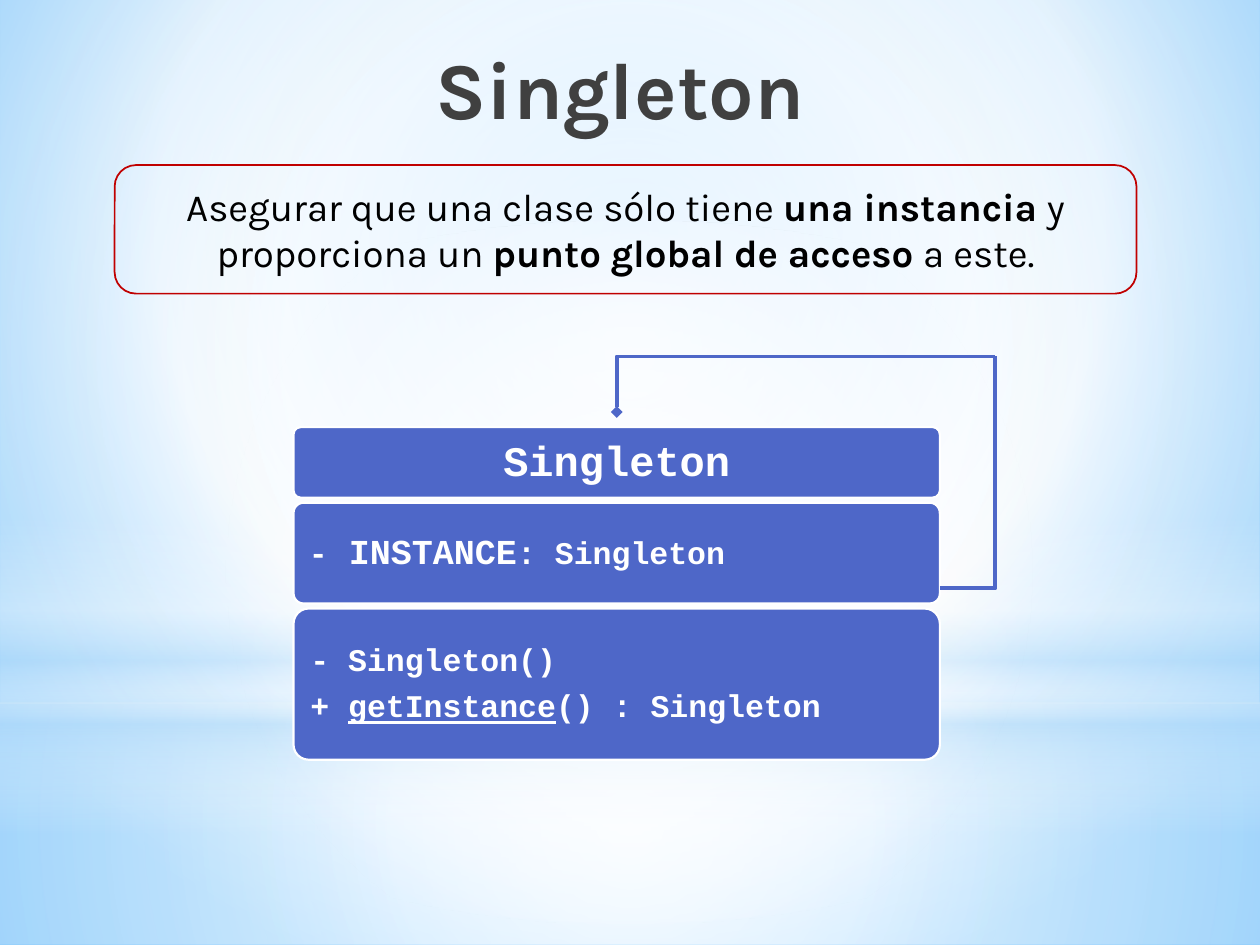
from pptx import Presentation
from pptx.dml.color import RGBColor
from pptx.enum.dml import MSO_FILL
from pptx.enum.shapes import MSO_CONNECTOR, MSO_SHAPE
from pptx.enum.text import MSO_ANCHOR, PP_ALIGN
from pptx.oxml import parse_xml
from pptx.oxml.ns import nsdecls, qn
from pptx.util import Inches, Pt

RECT, ROUND, OVAL = MSO_SHAPE.RECTANGLE, MSO_SHAPE.ROUNDED_RECTANGLE, MSO_SHAPE.OVAL
ELBOW = MSO_CONNECTOR.ELBOW
TOP, MIDDLE = MSO_ANCHOR.TOP, MSO_ANCHOR.MIDDLE
LEFT, CENTER = PP_ALIGN.LEFT, PP_ALIGN.CENTER

BLACK = RGBColor(0x00, 0x00, 0x00)
GRAY = RGBColor(0x40, 0x40, 0x40)
WHITE = RGBColor(0xFF, 0xFF, 0xFF)
RED = RGBColor(0xC0, 0x00, 0x00)
BLUE = RGBColor(0x4E, 0x67, 0xC8)
SKY = RGBColor(0x9E, 0xD5, 0xFF)
DEEP_SKY = RGBColor(0x5B, 0xB9, 0xFF)
PALE = RGBColor(0xB4, 0xDC, 0xFA)

W, H = Inches(10), Inches(7.5)
ROWS = 66


def share(left, top, width, height):
    return [round(v * side / 100) for v, side in zip((left, top, width, height), (W, H, W, H))]


def radial(left, top, right, bottom):
    return (f'<a:path path="circle"><a:fillToRect l="{left}000" t="{top}000" '
            f'r="{right}000" b="{bottom}000"/></a:path>')


CENTERED = radial(50, 50, 50, 50)
VERTICAL = '<a:lin ang="5400000" scaled="0"/>'


def set_gradient(fill, root, stops, direction):
    fill.solid()
    solid = root.find('.//' + qn('a:solidFill'))
    gs = ''.join(
        f'<a:gs pos="{pos}000"><a:srgbClr val="{color}"><a:alpha val="{alpha}000"/></a:srgbClr></a:gs>'
        for pos, color, alpha in stops)
    grad = parse_xml(f'<a:gradFill {nsdecls("a")} rotWithShape="1"><a:gsLst>{gs}</a:gsLst>{direction}</a:gradFill>')
    solid.getparent().replace(solid, grad)


def add_plain(slide, kind, box, fill=None, line=None, width=1):
    sp = slide.shapes.add_shape(kind, *box)
    sp.shadow.inherit = False
    for part, color in ((sp.fill, fill), (sp.line.fill, line)):
        if color is None:
            part.background()
        else:
            part.solid()
            part.fore_color.rgb = color
    if sp.line.fill.type == MSO_FILL.SOLID:
        sp.line.width = Pt(width)
    return sp


def write(sp, paragraphs, font, frame, para):
    tf = sp.text_frame
    for name, value in {'word_wrap': True, **frame}.items():
        setattr(tf, name, value)
    for i, runs in enumerate(paragraphs):
        p = tf.add_paragraph() if i else tf.paragraphs[0]
        for name, value in para.items():
            setattr(p, name, value)
        for text, changes in runs:
            r = p.add_run()
            r.text = text
            style = {**font, **changes}
            r.font.color.rgb = style.pop('color')
            for name, value in style.items():
                setattr(r.font, name, value)


def add_backdrop(slide):
    set_gradient(slide.background.fill, slide.element,
                 [(0, SKY, 100), (60, WHITE, 100), (100, DEEP_SKY, 100)], radial(20, 10, 20, 60))
    layers = [
        (RECT, (0, 74.4, 100, 25.6), [(0, WHITE, 91), (37, WHITE, 76), (100, PALE, 79)], CENTERED),
        (RECT, (0, 0, 100, 74.4), [(0, WHITE, 89), (48, WHITE, 62), (100, PALE, 79)], CENTERED),
        (RECT, (0, 54.93, 100, 33.33), [(0, WHITE, 0), (29, WHITE, 30), (45, PALE, 40),
                                        (55, WHITE, 26), (65, PALE, 60), (100, WHITE, 0)], VERTICAL),
        (OVAL, (0, 23.33, 100, 74.4), [(0, WHITE, 100), (56, WHITE, 0)], CENTERED),
    ]
    for kind, box, stops, direction in layers:
        sp = add_plain(slide, kind, share(*box))
        set_gradient(sp.fill, sp.element, stops, direction)


def add_title(slide, box):
    sp = slide.shapes.add_textbox(*box)
    font = {'name': 'Karla', 'size': Pt(46), 'bold': True, 'color': GRAY}
    write(sp, [[('Singleton', {})]], font, {'vertical_anchor': TOP}, {'alignment': CENTER})


def add_definition(slide, box):
    sp = add_plain(slide, ROUND, box, line=RED)
    bold = {'bold': True}
    runs = [('Asegurar que una clase sólo tiene ', {}), ('una instancia ', bold),
            ('y proporciona un ', {}), ('punto global de acceso ', bold), ('a este.', {})]
    font = {'name': 'Karla', 'size': Pt(22), 'bold': False, 'color': BLACK}
    write(sp, [runs], font, {'vertical_anchor': MIDDLE}, {'alignment': CENTER})


def add_class(slide, box):
    left, top, width, height = box
    row = height / ROWS
    sections = [
        (0, 14, CENTER, [[('Singleton', {'size': Pt(24)})]]),
        (15, 20, LEFT, [[('-', {}), (' INSTANCE', {'size': Pt(20)}), (': Singleton', {})]]),
        (36, 30, LEFT, [[('- Singleton()', {})],
                        [('+ ', {}), ('getInstance', {'underline': True}), ('() : Singleton', {})]]),
    ]
    font = {'name': 'Courier New', 'size': Pt(18), 'bold': True, 'color': WHITE}
    frame = {'vertical_anchor': MIDDLE, 'margin_left': Inches(0.1), 'margin_right': Inches(0.1)}
    for start, span, align, paragraphs in sections:
        sp = add_plain(slide, ROUND, (left, round(top + start * row), width, round(span * row)),
                       BLUE, WHITE, 1.25)
        sp.adjustments[0] = 0.1
        write(sp, paragraphs, font, frame,
              {'alignment': align, 'line_spacing': 0.9, 'space_after': Pt(7)})


def add_self_link(slide, box):
    left, top, width, height = box
    row = height / ROWS
    right = left + width
    side = (right, top + 32 * row)
    corner = (right + 11 * row, top - 14 * row)
    head = (left + width / 2, top - 3 * row)
    for begin, end in ((side, corner), (corner, head)):
        sp = slide.shapes.add_connector(ELBOW, *(round(v) for v in begin + end))
        sp.line.color.rgb = BLUE
        sp.line.width = Pt(2.25)
        spPr = sp.element.spPr
        spPr.find(qn('a:prstGeom')).set('prst', 'bentConnector2')
        spPr.append(parse_xml(f'<a:effectLst {nsdecls("a")}/>'))
    sp.line._get_or_add_ln().append(parse_xml(f'<a:tailEnd {nsdecls("a")} type="diamond"/>'))


def main():
    prs = Presentation()
    prs.slide_width, prs.slide_height = W, H
    slide = prs.slides.add_slide(prs.slide_layouts[6])
    add_backdrop(slide)
    add_title(slide, share(13, 3.5, 72.4, 16.67))
    add_definition(slide, share(9.1, 17.47, 81.1, 13.6))
    class_box = share(23.3, 45.2, 51.3, 35.2)
    add_class(slide, class_box)
    add_self_link(slide, class_box)
    prs.save("out.pptx")


if __name__ == "__main__":
    main()
